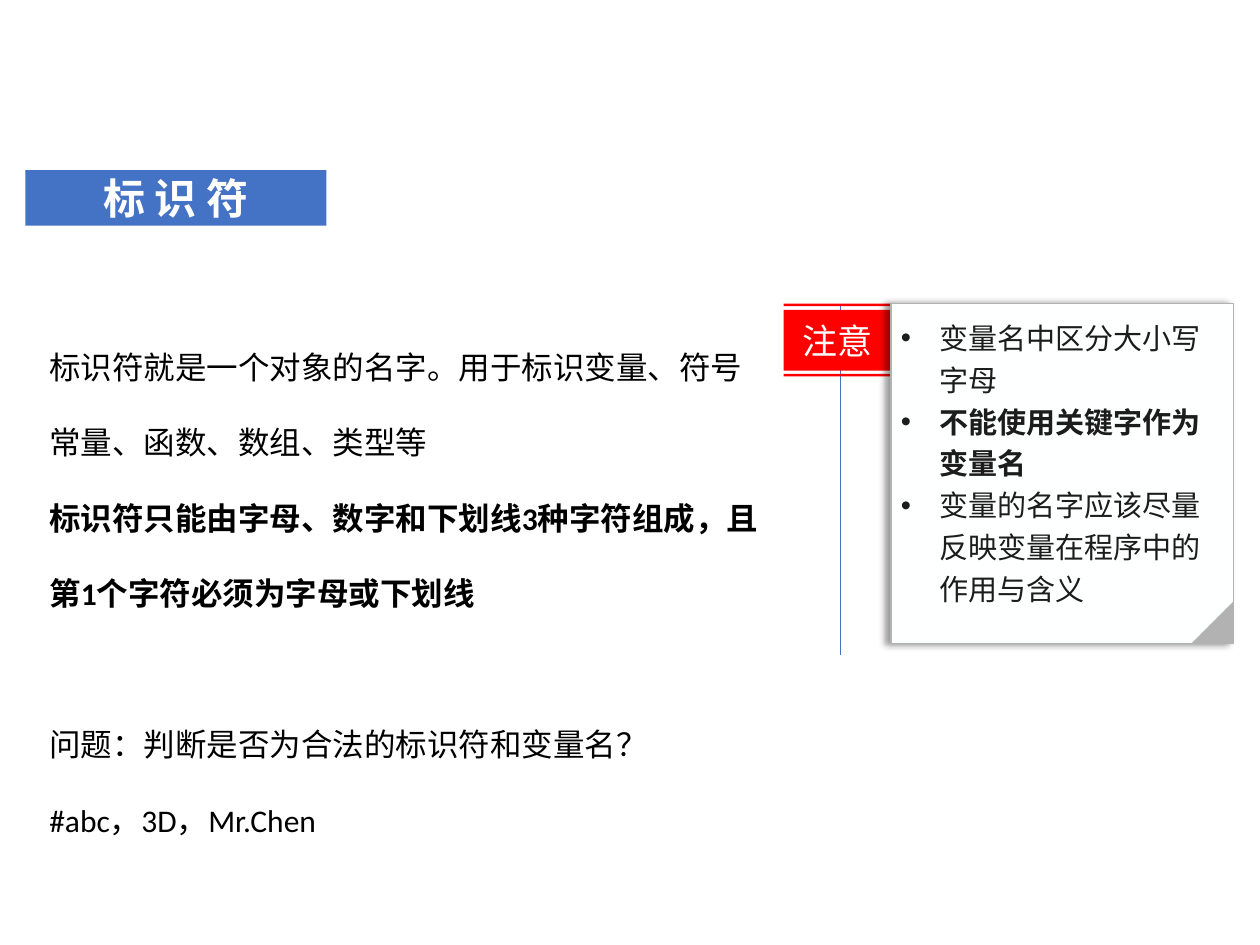
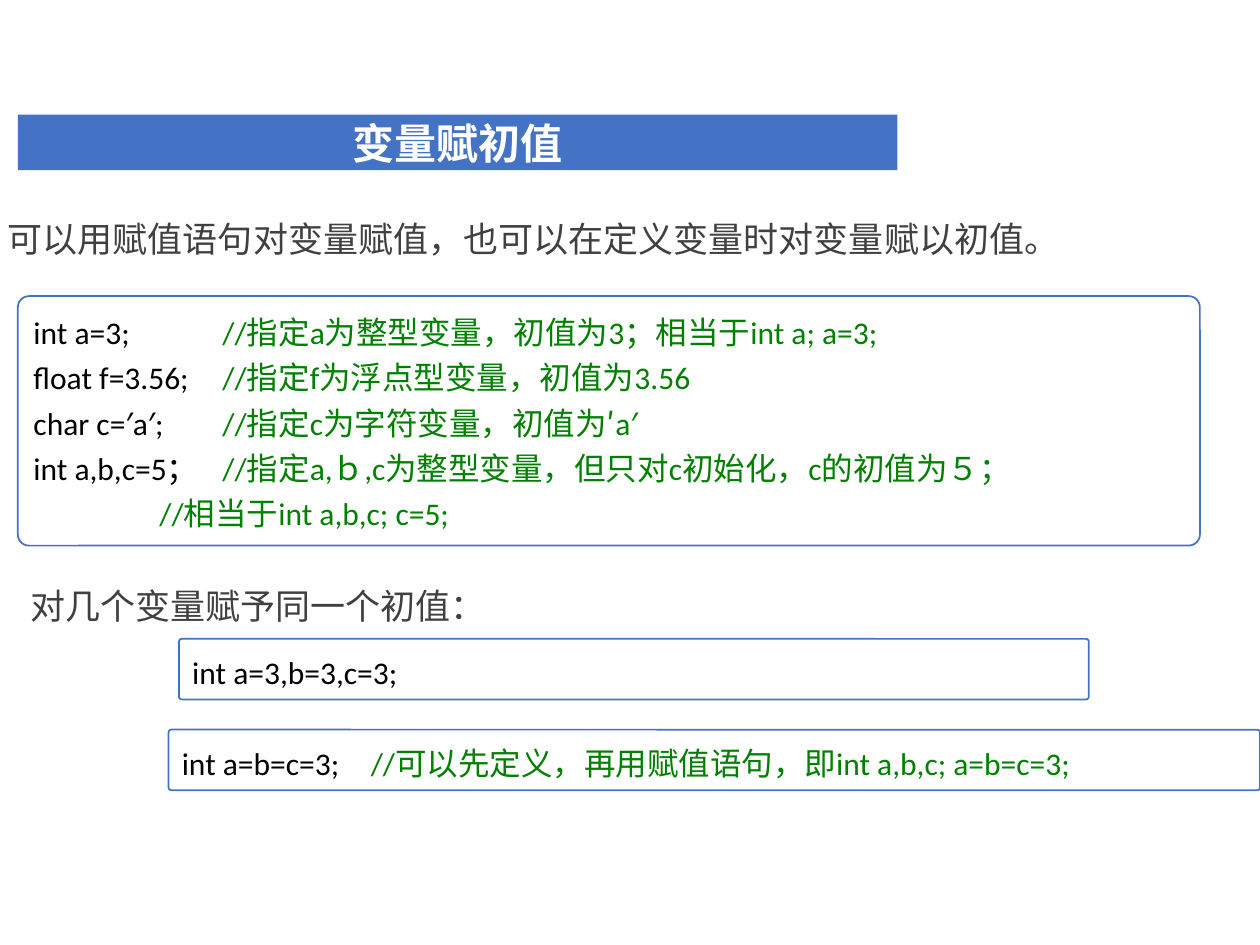
from lxml.etree import SubElement
from pptx import Presentation
from pptx.dml.color import RGBColor
from pptx.enum.shapes import MSO_CONNECTOR, MSO_SHAPE
from pptx.enum.text import MSO_ANCHOR as Anchor, MSO_AUTO_SIZE as AutoSize, PP_ALIGN as Align
from pptx.oxml.ns import qn
from pptx.util import Cm, Pt

COLOURS = {
    "blue": "4472C4", "red": "FF0000", "green": "008000", "black": "000000",
    "white": "FFFFFF", "paper": "FEFFFF", "ink": "1C1C1C", "grey": "404040",
    "fold": "B2B2B2",
}
LATIN, CHINESE = "Calibri", "Noto Sans CJK SC"
TAB_STEP = Cm(1.27)


def paint(shape, fill, line=None, width=1):
    shape.shadow.inherit = False
    shape.fill.solid()
    shape.fill.fore_color.rgb = RGBColor.from_string(COLOURS[fill])
    if line:
        shape.line.color.rgb = RGBColor.from_string(COLOURS[line])
        shape.line.width = Pt(width)
    else:
        shape.line.fill.background()


def write(shape, paragraphs, size, spacing=1.0, align=Align.LEFT, anchor=Anchor.TOP,
          font=LATIN, inset=None, bullet=None, tab_stops=0):
    """Fill a shape; each paragraph is a list of (text, colour, bold) runs."""
    frame = shape.text_frame
    frame.word_wrap, frame.auto_size, frame.vertical_anchor = True, AutoSize.NONE, anchor
    if inset is not None:
        frame.margin_left = frame.margin_right = Cm(inset)
        frame.margin_top = frame.margin_bottom = Cm(inset)
    for index, runs in enumerate(paragraphs):
        paragraph = frame.add_paragraph() if index else frame.paragraphs[0]
        paragraph.alignment, paragraph.line_spacing = align, spacing
        paragraph.space_before = Pt(0)
        properties = paragraph._p.get_or_add_pPr()
        indent = Cm(0.79) if bullet else 0
        properties.set("marL", str(indent))
        properties.set("indent", str(-indent))
        if bullet:
            SubElement(properties, qn("a:buFont"), typeface="Arial")
            SubElement(properties, qn("a:buChar"), char=bullet)
        else:
            SubElement(properties, qn("a:buNone"))
        if tab_stops:
            tabs = SubElement(properties, qn("a:tabLst"))
            for stop in range(1, tab_stops + 1):
                SubElement(tabs, qn("a:tab"), pos=str(stop * TAB_STEP), algn="l")
        for text, colour, bold in runs:
            run = paragraph.add_run()
            run.text = text
            run.font.size, run.font.bold = Pt(size), bold
            run.font.color.rgb = RGBColor.from_string(COLOURS[colour])
            run.font.name = font
            SubElement(run._r.get_or_add_rPr(), qn("a:ea"), typeface=CHINESE)


presentation = Presentation()
presentation.slide_width, presentation.slide_height = Cm(25.4), Cm(19.05)
layout = presentation.slide_layouts[1]

# Title bands and lead text areas of both slides
slides = []
for title_text, title_box, body_box in [
    ("标 识 符", (0.51, 3.43, 6.07, 1.12), (0.74, 6.12, 15.06, 10.82)),
    ("变量赋初值", (0.36, 2.31, 17.73, 1.12), (-0.1, 3.84, 22.48, 1.4)),
]:
    slide = presentation.slides.add_slide(layout)
    title, body = slide.placeholders
    for placeholder, box in [(title, title_box), (body, body_box)]:
        placeholder.left, placeholder.top, placeholder.width, placeholder.height = map(Cm, box)
    paint(title, "blue")
    write(title, [[(title_text, "white", True)]], 24, align=Align.CENTER,
          anchor=Anchor.MIDDLE, font=CHINESE, inset=0)
    slides.append(slide)
identifier_slide, initial_value_slide = slides

# Identifiers
body = identifier_slide.placeholders[1]
write(body, [
    [("标识符就是一个对象的名字。用于标识变量、符号常量、函数、数组、类型等", "black", False)],
    [("标识符只能由字母、数字和下划线3种字符组成，且第1个字符必须为字母或下划线", "black", True)],
    [("问题：判断是否为合法的标识符和变量名？", "black", False)],
    [("#abc，3D，Mr.Chen", "black", False)],
], 18, spacing=2.0)
body.text_frame.paragraphs[2].space_before = Pt(43)

shapes = identifier_slide.shapes
pole = shapes.add_connector(MSO_CONNECTOR.STRAIGHT, Cm(16.94), Cm(6.12), Cm(16.94), Cm(13.21))
pole.line.color.rgb = RGBColor.from_string(COLOURS["blue"])
pole.line.width = Pt(0.5)
SubElement(pole._element.spPr, qn("a:effectLst"))

flag_left, flag_right = Cm(15.8), Cm(17.96)
builder = shapes.build_freeform(flag_left, Cm(6.12))
for index, (top, bottom) in enumerate([(6.12, 6.17), (6.25, 7.47), (7.54, 7.59)]):
    if index:
        builder.move_to(flag_left, Cm(top))
    builder.add_line_segments([
        (flag_right, Cm(top)), (flag_right, Cm(bottom)), (flag_left, Cm(bottom))])
flag = builder.convert_to_shape()
paint(flag, "red")
write(flag, [[("注意", "paper", False)]], 20, align=Align.CENTER, anchor=Anchor.MIDDLE)

note = shapes.add_shape(MSO_SHAPE.RECTANGLE, Cm(17.96), Cm(6.12), Cm(6.91), Cm(6.86))
paint(note, "paper", "fold", 0.75)
shadow = SubElement(note._element.spPr.find(qn("a:effectLst")), qn("a:outerShdw"),
                    blurRad=str(Pt(4)), dist=str(Pt(3)), dir="10800000",
                    algn="r", rotWithShape="0")
shadow_colour = SubElement(shadow, qn("a:srgbClr"), val=COLOURS["black"])
SubElement(shadow_colour, qn("a:alpha"), val="40000")
write(note, [
    [("变量名中区分大小写字母", "ink", False)],
    [("不能使用关键字作为变量名", "ink", True)],
    [("变量的名字应该尽量反映变量在程序中的作用与含义", "ink", False)],
], 16.6, spacing=1.2, inset=0.2, bullet="•")

folded_corner = shapes.add_shape(MSO_SHAPE.RIGHT_TRIANGLE, Cm(24.03), Cm(12.12), Cm(0.84), Cm(0.84))
folded_corner.rotation = 270
paint(folded_corner, "fold")

# Initial values
shapes = initial_value_slide.shapes
subheading = shapes.add_textbox(Cm(0.36), Cm(11.23), Cm(12.8), Cm(1.4))
for shape, text in [
    (initial_value_slide.placeholders[1], "可以用赋值语句对变量赋值，也可以在定义变量时对变量赋以初值。"),
    (subheading, "对几个变量赋予同一个初值："),
]:
    write(shape, [[(text, "grey", False)]], 20, spacing=1.5)

code_boxes = [
    ((0.36, 5.97, 23.83, 5.03), [
        ("int a=3; \t\t", "//指定a为整型变量，初值为3；相当于int a; a=3;"),
        ("float f=3.56;\t", "//指定f为浮点型变量，初值为3.56"),
        ("char c=′a′;\t", "//指定c为字符变量，初值为′a′"),
        ("int a,b,c=5；", "\t//指定a,ｂ,c为整型变量，但只对c初始化，c的初值为５；"),
        ("", "\t\t//相当于int a,b,c; c=5;"),
    ]),
    ((3.61, 12.88, 18.34, 1.22), [("int a=3,b=3,c=3;", "")]),
    ((3.4, 14.71, 22, 1.22), [
        ("int a=b=c=3;\t", "//可以先定义，再用赋值语句，即int a,b,c; a=b=c=3;"),
    ]),
]
for box, code_lines in code_boxes:
    code_box = shapes.add_shape(MSO_SHAPE.ROUNDED_RECTANGLE, *map(Cm, box))
    code_box.adjustments[0] = 0.045
    paint(code_box, "white", "blue")
    paragraphs = [
        [(text, colour, False) for text, colour in [(code, "black"), (comment, "green")] if text]
        for code, comment in code_lines
    ]
    write(code_box, paragraphs, 18, spacing=1.2, align=Align.JUSTIFY, tab_stops=3)

presentation.save("out.pptx")
